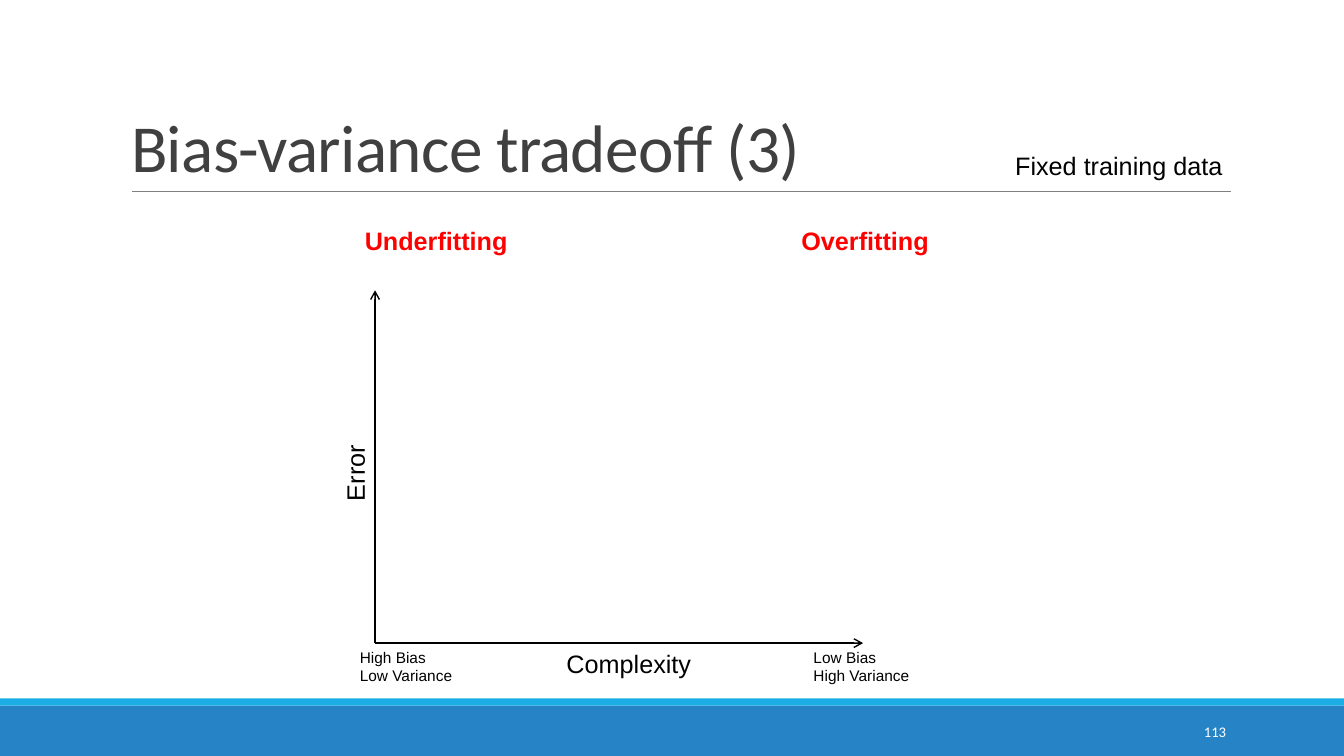
from dataclasses import dataclass

from lxml.etree import SubElement
from pptx import Presentation
from pptx.dml.color import RGBColor
from pptx.enum.shapes import MSO_CONNECTOR, MSO_SHAPE
from pptx.enum.text import MSO_ANCHOR, MSO_AUTO_SIZE, PP_ALIGN
from pptx.oxml.ns import qn
from pptx.util import Inches, Pt


@dataclass(frozen=True)
class Theme:
    heading_font: str = "Calibri"
    body_font: str = "Arial"
    title_size: float = 48
    label_size: float = 18
    note_size: float = 11
    number_size: float = 10.5
    title: str = "404040"
    text: str = "000000"
    accent: str = "FF0000"
    rule: str = "808080"
    band: str = "2683C6"
    strip: str = "1CADE4"
    white: str = "FFFFFF"


THEME = Theme()


def style(tf, font, size, color, bold=False):
    for p in tf.paragraphs:
        for r in p.runs:
            r.font.name = font
            r.font.size = Pt(size)
            r.font.bold = bold
            r.font.color.rgb = RGBColor.from_string(color)


def add_label(s, text, x, y, w, h=0.4, size=THEME.label_size, color=THEME.text, bold=False):
    label = s.shapes.add_textbox(Inches(x), Inches(y), Inches(w), Inches(h))
    tf = label.text_frame
    tf.text = text
    tf.word_wrap = False
    tf.auto_size = MSO_AUTO_SIZE.SHAPE_TO_FIT_TEXT
    style(tf, THEME.body_font, size, color, bold)
    return label


def add_line(s, x1, y1, x2, y2, color, width, arrow=False):
    line = s.shapes.add_connector(
        MSO_CONNECTOR.STRAIGHT, Inches(x1), Inches(y1), Inches(x2), Inches(y2))
    line.line.color.rgb = RGBColor.from_string(color)
    line.line.width = Pt(width)
    if arrow:
        SubElement(line.line._get_or_add_ln(), qn("a:tailEnd"), type="arrow")
    SubElement(line._element.spPr, qn("a:effectLst"))


def add_band(s, x, y, w, h, color):
    band = s.shapes.add_shape(
        MSO_SHAPE.RECTANGLE, Inches(x), Inches(y), Inches(w), Inches(h))
    band.shadow.inherit = False
    band.fill.solid()
    band.fill.fore_color.rgb = RGBColor.from_string(color)
    band.line.fill.background()


def add_footer(s, x, y, w, h):
    strip_h = 0.07
    add_band(s, x, y + strip_h, w, h - strip_h, THEME.band)
    add_band(s, x, y, w, strip_h, THEME.strip)
    number = s.shapes.add_textbox(
        Inches(x + w - 2.5), Inches(y + 0.13), Inches(1.43), Inches(0.4))
    tf = number.text_frame
    tf.text = "113"
    tf.word_wrap = True
    tf.vertical_anchor = MSO_ANCHOR.MIDDLE
    tf.paragraphs[0].alignment = PP_ALIGN.RIGHT
    style(tf, THEME.heading_font, THEME.number_size, THEME.white)


def add_header(s, x, y, w, h):
    title = s.shapes.title
    title.left, title.top = Inches(x), Inches(y)
    title.width, title.height = Inches(w), Inches(h)
    tf = title.text_frame
    tf.text = "Bias-variance tradeoff (3)"
    tf.word_wrap = True
    tf.auto_size = MSO_AUTO_SIZE.NONE
    tf.vertical_anchor = MSO_ANCHOR.BOTTOM
    p = tf.paragraphs[0]
    p.alignment = PP_ALIGN.LEFT
    p.line_spacing = 0.85
    style(tf, THEME.heading_font, THEME.title_size, THEME.title)
    p.runs[0].font._element.set("spc", "-50")
    add_line(s, x + 0.11, y + h, x + w + 0.01, y + h, THEME.rule, 0.5)
    add_label(s, "Fixed training data", x + w - 2.23, y + h - 0.46, 2.28)


def add_error_plot(s, x, y, w, h):
    base = y + h
    add_label(s, "Underfitting", x - 0.2, y - 0.69, 1.63, color=THEME.accent, bold=True)
    add_label(s, "Overfitting", x + 4.13, y - 0.69, 1.48, color=THEME.accent, bold=True)
    add_line(s, x, base, x, y, THEME.text, 1, arrow=True)
    add_line(s, x, base, x + w, base, THEME.text, 1, arrow=True)
    add_label(s, "Complexity", x + 1.8, base, 1.45)
    add_label(s, "High Bias\nLow Variance", x - 0.25, base, 1.14, 0.47, THEME.note_size)
    add_label(s, "Low Bias\nHigh Variance", x + 4.25, base, 1.17, 0.47, THEME.note_size)
    error = add_label(s, "Error", x - 0.58, y + 1.61, 0.76)
    error.rotation = 270


def main():
    prs = Presentation()
    prs.slide_width, prs.slide_height = Inches(13.33), Inches(7.5)
    s = prs.slides.add_slide(prs.slide_layouts[5])
    add_footer(s, 0, 6.93, 13.33, 0.57)
    add_header(s, 1.2, 0.31, 11, 1.59)
    add_error_plot(s, 3.72, 2.88, 4.84, 3.5)
    prs.save("out.pptx")


if __name__ == "__main__":
    main()
